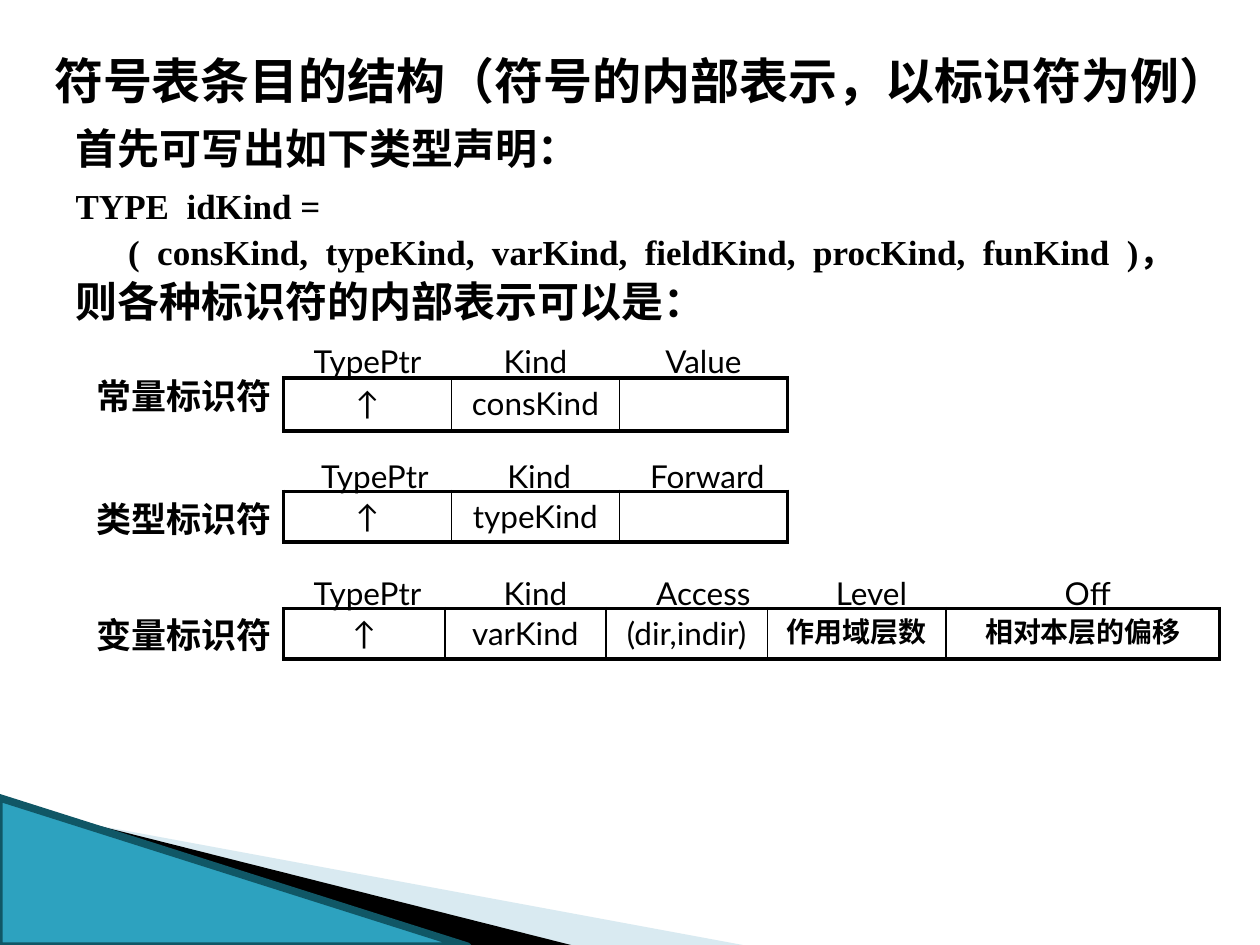
"""Build the slide on the structure of symbol table entries."""
from lxml import etree
from pptx import Presentation
from pptx.dml.color import RGBColor
from pptx.enum.shapes import MSO_CONNECTOR, MSO_SHAPE
from pptx.enum.text import MSO_ANCHOR, MSO_AUTO_SIZE, PP_ALIGN
from pptx.oxml.ns import qn
from pptx.util import Inches, Pt

CENTER, LEFT, RIGHT = PP_ALIGN.CENTER, PP_ALIGN.LEFT, PP_ALIGN.RIGHT
THEME = {
    "serif": "Times New Roman", "sans": "Lato",
    "title": 28, "heading": 24, "code": 20, "cell": 18, "small": 16,
    "ink": "000000", "teal": "2DA2BF", "edge": "105766", "pale": "A0CBDC", "rule": "97C5D8",
    "thick": 2.25, "thin": 1,
}

TITLE = "符号表条目的结构（符号的内部表示，以标识符为例）"
BODY = [
    ("首先可写出如下类型声明：", "heading", 0),
    ("TYPE  idKind =", "code", 7),
    ("      (  consKind,  typeKind,  varKind,  fieldKind,  procKind,  funKind  )，", "code", 2),
    ("则各种标识符的内部表示可以是：", "heading", 2),
]
THIRD = 4 / 3
RECORDS = [
    {"label": "常量标识符", "label_top": 2.92, "top": 3, "height": 0.42,
     "widths": [THIRD] * 3, "cells": ["↑", "consKind", ""],
     "header_at": (2.25, 2.67), "header_widths": [THIRD] * 3,
     "headers": ["TypePtr", "Kind", "Value"]},
    {"label": "类型标识符", "label_top": 3.9, "top": 3.9, "height": 0.4,
     "widths": [THIRD] * 3, "cells": ["↑", "typeKind", ""],
     "header_at": (2.31, 3.58), "header_widths": [1.33, 1.28, 1.39],
     "headers": ["TypePtr", "Kind", "Forward"]},
    {"label": "变量标识符", "label_top": 4.82, "top": 4.83, "height": 0.4,
     "widths": [1.28, 1.28, 1.28, 1.42, 2.17],
     "cells": ["↑", "varKind", "(dir,indir)", "作用域层数", "相对本层的偏移"],
     "header_at": (2.25, 4.51), "header_widths": [THIRD] * 5,
     "headers": ["TypePtr", "Kind", "Access", "Level", "Off"]},
]
SMALL_BOLD = {"作用域层数", "相对本层的偏移"}
RECORD_LEFT, LABEL_LEFT, HEADER_HEIGHT = 2.25, 0.67, 0.42
WEDGES = [
    ([(0.55, 6.51), (5.95, 7.51), (4.56, 7.51), (0.55, 6.5)], "pale", 40),
    ([(0.53, 6.49), (4.57, 7.51), (3.72, 7.52), (0.54, 6.5)], "ink", 100),
]


def color(name):
    return RGBColor.from_string(THEME[name])


def write(paragraph, text, *, size, font="serif", bold=False, align=LEFT, before=0):
    paragraph.alignment = align
    paragraph.space_before = Pt(before)
    run = paragraph.add_run()
    run.text = text
    run.font.name = THEME[font]
    run.font.size = Pt(THEME[size])
    run.font.bold = bold
    run.font.color.rgb = color("ink")
    east_asian = etree.SubElement(run.font._element, qn("a:ea"))
    east_asian.set("typeface", THEME["sans"])


def prepare(shape, left, top, width, height):
    shape.left, shape.top, shape.width, shape.height = map(Inches, (left, top, width, height))
    frame = shape.text_frame
    frame.word_wrap = True
    frame.auto_size = MSO_AUTO_SIZE.NONE
    frame.vertical_anchor = MSO_ANCHOR.TOP
    return frame


def add_body(shape):
    frame = prepare(shape, 0.5, 0.92, 9.25, 1.76)
    for index, (text, size, before) in enumerate(BODY):
        paragraph = frame.add_paragraph() if index else frame.paragraphs[0]
        properties = paragraph._p.get_or_add_pPr()
        properties.set("marL", "0")
        properties.set("indent", "0")
        etree.SubElement(properties, qn("a:buNone"))
        write(paragraph, text, size=size, bold=True, before=before)


def set_borders(cell, widths):
    properties = cell._tc.get_or_add_tcPr()
    for side, width in zip("LRTB", widths):
        line = etree.SubElement(properties, qn(f"a:ln{side}"))
        if width:
            line.set("w", str(Pt(width)))
            fill = etree.SubElement(line, qn("a:solidFill"))
            etree.SubElement(fill, qn("a:srgbClr")).set("val", THEME["ink"])
        else:
            etree.SubElement(line, qn("a:noFill"))


def add_row(slide, texts, left, top, widths, height, ruled):
    frame = slide.shapes.add_table(1, len(texts), Inches(left), Inches(top),
                                   Inches(sum(widths)), Inches(height))
    table = frame.table
    table.first_row = table.horz_banding = False
    table.rows[0].height = Inches(height)
    thick, thin = THEME["thick"], THEME["thin"]
    last = len(texts) - 1
    for index, (text, width) in enumerate(zip(texts, widths)):
        table.columns[index].width = Inches(width)
        cell = table.cell(0, index)
        sides = (thick if index == 0 else thin, thick if index == last else thin, thick, thick)
        set_borders(cell, sides if ruled else (0, 0, 0, 0))
        cell.fill.background()
        small = text in SMALL_BOLD
        write(cell.text_frame.paragraphs[0], text, size="small" if small else "cell",
              font="sans", bold=small, align=RIGHT if text == "Off" else CENTER)


def add_decoration(slide):
    for points, fill, opacity in WEDGES:
        corners = [(Inches(x), Inches(y)) for x, y in points]
        builder = slide.shapes.build_freeform(*corners[0])
        builder.add_line_segments(corners[1:], close=True)
        wedge = builder.convert_to_shape()
        wedge.shadow.inherit = False
        wedge.fill.solid()
        wedge.fill.fore_color.rgb = color(fill)
        wedge.line.fill.background()
        if opacity < 100:
            tint = wedge._element.spPr.find(qn("a:solidFill"))[0]
            etree.SubElement(tint, qn("a:alpha")).set("val", str(opacity * 1000))
    edge = slide.shapes.add_connector(MSO_CONNECTOR.STRAIGHT, Inches(-0.01), Inches(6.33),
                                      Inches(3.71), Inches(7.52))
    edge.line.color.rgb = color("rule")
    edge.line.width = Pt(0.95)
    etree.SubElement(edge._element.spPr, qn("a:effectLst"))
    triangle = slide.shapes.add_shape(MSO_SHAPE.RIGHT_TRIANGLE, Inches(-0.01), Inches(6.33),
                                      Inches(3.72), Inches(1.18))
    triangle.shadow.inherit = False
    triangle.fill.solid()
    triangle.fill.fore_color.rgb = color("teal")
    triangle.line.color.rgb = color("edge")
    triangle.line.width = Pt(4.33)


def main():
    presentation = Presentation()
    presentation.slide_width, presentation.slide_height = Inches(10), Inches(7.5)
    slide = presentation.slides.add_slide(presentation.slide_layouts[1])
    add_decoration(slide)
    title = prepare(slide.shapes.title, 0.33, 0.35, 9.67, 0.57)
    write(title.paragraphs[0], TITLE, size="title", bold=True)
    add_body(slide.placeholders[1])
    for record in RECORDS:
        add_row(slide, record["cells"], RECORD_LEFT, record["top"],
                record["widths"], record["height"], ruled=True)
        add_row(slide, record["headers"], *record["header_at"],
                record["header_widths"], HEADER_HEIGHT, ruled=False)
        box = slide.shapes.add_textbox(0, 0, 0, 0)
        label = prepare(box, LABEL_LEFT, record["label_top"], 1.67, 0.43)
        write(label.paragraphs[0], record["label"], size="code", bold=True)
    presentation.save("out.pptx")


if __name__ == "__main__":
    main()
